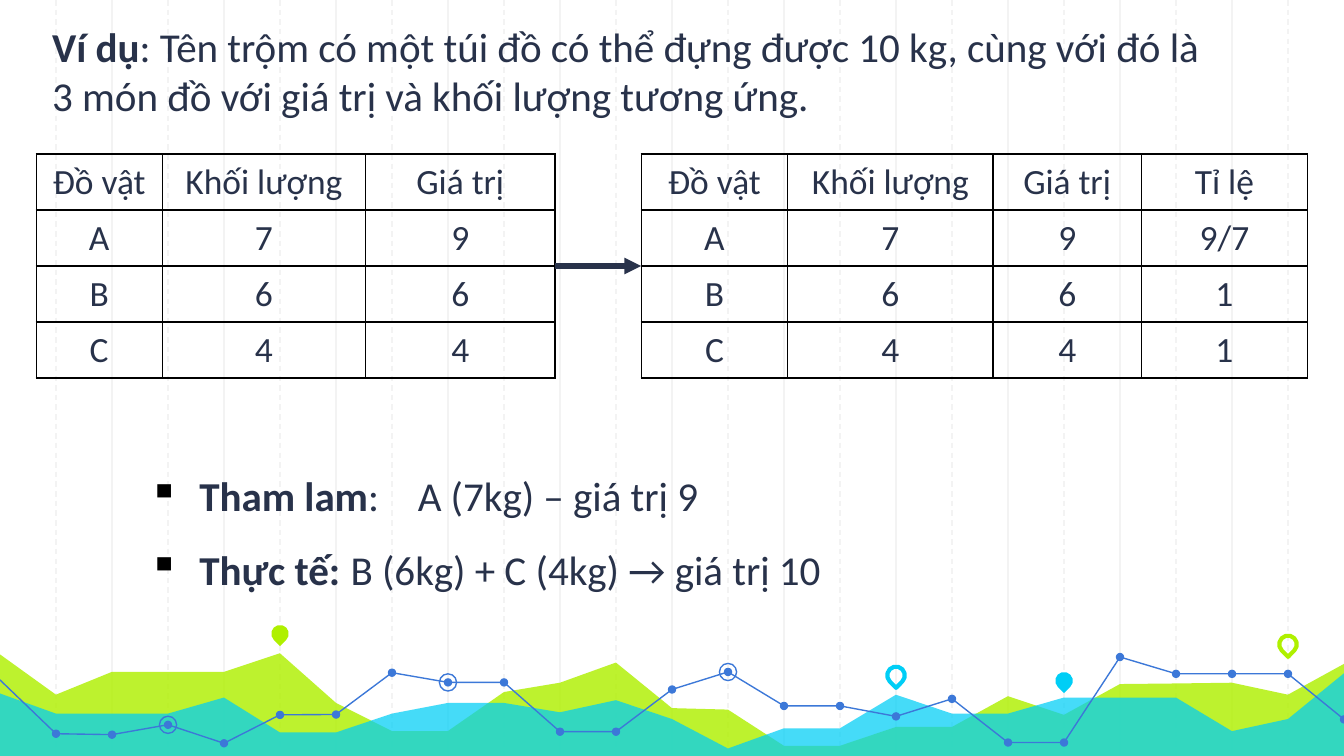
from dataclasses import dataclass

from lxml import etree
from pptx import Presentation
from pptx.dml.color import RGBColor
from pptx.enum.dml import MSO_LINE
from pptx.enum.shapes import MSO_CONNECTOR, MSO_SHAPE
from pptx.enum.text import MSO_ANCHOR, PP_ALIGN
from pptx.oxml.ns import qn
from pptx.shapes.autoshape import Shape
from pptx.shapes.connector import Connector
from pptx.slide import Slide
from pptx.table import _Cell
from pptx.text.text import TextFrame, _Paragraph
from pptx.util import Pt

DASH = MSO_LINE.DASH
STRAIGHT = MSO_CONNECTOR.STRAIGHT
ELLIPSE, TEARDROP = MSO_SHAPE.OVAL, MSO_SHAPE.TEAR
CENTER, MIDDLE = PP_ALIGN.CENTER, MSO_ANCHOR.MIDDLE

COLORS = {"text": "28324A", "grid": "F3F3F3", "green": "AFF000",
          "cyan": "00CEF6", "blue": "3C78D8", "black": "000000"}
FONT = "Calibri"
WIDTH, HEIGHT = 720, 405
STEP = 30  # distance between grid lines
TABLE_TOP, ROW_HEIGHT = 82.5, 30

# Heights at each grid line, from the left edge to the right edge
GREEN_AREA = [350.6, 372.2, 360, 360, 360, 350, 376.6, 391.7, 391.7, 370.8, 365.8, 355, 379.4,
              380.2, 399.6, 399.6, 389.5, 389.5, 373, 383, 366.5, 366.2, 365.8, 372.2, 355.7]
CYAN_AREA = [371.5, 382.3, 382.3, 382.3, 373.7, 392.4, 392.4, 382.3, 376.6, 376.6, 381.6, 375.1, 385.2,
             401, 390.2, 390.2, 372.2, 382.3, 382.3, 373.7, 373.7, 373.7, 391.7, 385.2, 360.7]
BLUE_LINE = [364.3, 393.1, 393.6, 388.3, 398.2, 383, 382.8, 360.4, 365.6, 365.6, 392, 392, 369.4,
             360, 378.2, 378.2, 383.8, 374.4, 397.8, 397.8, 352, 361, 361, 361, 385.4]
LINE_PARTS = [(0, 11), (11, 20), (20, 24)]
RINGED_COLUMNS = [3, 8, 13]


@dataclass
class Pin:
    column: int
    y: float
    color: str
    filled: bool


@dataclass
class ItemTable:
    left: float
    widths: list[float]
    rows: list[list[str]]


@dataclass
class Answer:
    label: str
    value: str


PINS = [Pin(5, 339.5, "green", True), Pin(16, 361.8, "cyan", False),
        Pin(19, 364.7, "cyan", True), Pin(23, 345.2, "green", False)]
ITEMS = [["Đồ vật", "Khối lượng", "Giá trị"], ["A", "7", "9"], ["B", "6", "6"], ["C", "4", "4"]]
RATIOS = ["Tỉ lệ", "9/7", "1", "1"]
ITEM_TABLE = ItemTable(19.4, [67.5, 109, 101.5], ITEMS)
RATIO_TABLE = ItemTable(343.5, [78.5, 110, 79.5, 89],
                        [row + [ratio] for row, ratio in zip(ITEMS, RATIOS)])


def rgb(name: str) -> RGBColor:
    return RGBColor.from_string(COLORS[name])


def paint(shape: Shape, fill: str | None = None, line: str | None = None, width: float = 0.75) -> None:
    shape.shadow.inherit = False
    if fill:
        shape.fill.solid()
        shape.fill.fore_color.rgb = rgb(fill)
    else:
        shape.fill.background()
    if line:
        shape.line.color.rgb = rgb(line)
        shape.line.width = Pt(width)
    else:
        shape.line.fill.background()


def add_line(slide: Slide, x1: float, y1: float, x2: float, y2: float,
             color: str, width: float) -> Connector:
    line = slide.shapes.add_connector(STRAIGHT, Pt(x1), Pt(y1), Pt(x2), Pt(y2))
    line.line.color.rgb = rgb(color)
    line.line.width = Pt(width)
    etree.SubElement(line._element.spPr, qn("a:effectLst"))
    return line


def add_outline(slide: Slide, points: list[tuple[float, float]], closed: bool) -> Shape:
    corners = [(Pt(x), Pt(y)) for x, y in points]
    builder = slide.shapes.build_freeform(*corners[0])
    builder.add_line_segments(corners[1:], close=closed)
    return builder.convert_to_shape()


def add_area(slide: Slide, heights: list[float], color: str, opacity: int) -> None:
    points = [(column * STEP, y) for column, y in enumerate(heights)]
    area = add_outline(slide, points + [(WIDTH, HEIGHT), (0, HEIGHT)], True)
    paint(area, fill=color)
    color_element = area._element.spPr.find(qn("a:solidFill"))[0]
    etree.SubElement(color_element, qn("a:alpha"), val=str(opacity * 1000))


def add_marker(slide: Slide, kind: MSO_SHAPE, column: int, y: float, size: float) -> Shape:
    """Add a shape centred on a grid line."""
    return slide.shapes.add_shape(kind, Pt(column * STEP - size / 2), Pt(y - size / 2), Pt(size), Pt(size))


def add_pin(slide: Slide, pin: Pin) -> None:
    shape = add_marker(slide, TEARDROP, pin.column, pin.y, 9.4)
    shape.rotation = 135
    if pin.filled:
        paint(shape, fill=pin.color)
    else:
        paint(shape, line=pin.color, width=2.25)


def add_background(slide: Slide) -> None:
    for first, dashed in ((2, False), (1, True)):
        for column in range(first, WIDTH // STEP, 2):
            line = add_line(slide, column * STEP, 0, column * STEP, HEIGHT, "grid", 0.75)
            if dashed:
                line.line.dash_style = DASH
    add_area(slide, GREEN_AREA, "green", 82)
    add_area(slide, CYAN_AREA, "cyan", 73)
    for first, last in LINE_PARTS:
        points = [(column * STEP, BLUE_LINE[column]) for column in range(first, last + 1)]
        paint(add_outline(slide, points, False), line="blue")
    for column, y in list(enumerate(BLUE_LINE))[1:]:
        paint(add_marker(slide, ELLIPSE, column, y, 4.5), fill="blue")
    for column in RINGED_COLUMNS:
        paint(add_marker(slide, ELLIPSE, column, BLUE_LINE[column], 9.2), line="blue")
    for pin in PINS:
        add_pin(slide, pin)


def style_font(paragraph: _Paragraph, size: float) -> None:
    paragraph.font.name = FONT
    paragraph.font.size = Pt(size)
    paragraph.font.color.rgb = rgb("text")


def add_labelled_text(paragraph: _Paragraph, label: str, text: str) -> None:
    """Write a bold label followed by plain text."""
    for part, bold in ((label, True), (text, False)):
        run = paragraph.add_run()
        run.text = part
        run.font.bold = bold
    style_font(paragraph, 22)


def add_text_box(slide: Slide, left: float, top: float, width: float, height: float) -> TextFrame:
    frame = slide.shapes.add_textbox(Pt(left), Pt(top), Pt(width), Pt(height)).text_frame
    frame.word_wrap = True
    return frame


def add_bullet(paragraph: _Paragraph) -> None:
    properties = paragraph._p.get_or_add_pPr()
    properties.set("marL", str(Pt(27)))
    properties.set("indent", str(-Pt(27)))
    bullet_color = etree.SubElement(properties, qn("a:buClr"))
    etree.SubElement(bullet_color, qn("a:srgbClr"), val=COLORS["black"])
    etree.SubElement(properties, qn("a:buChar"), char="▪")


def fill_cell(cell: _Cell, text: str) -> None:
    properties = cell._tc.get_or_add_tcPr()
    for side in ("lnL", "lnR", "lnT", "lnB"):
        border = etree.SubElement(properties, qn(f"a:{side}"), w=str(Pt(0.75)))
        solid = etree.SubElement(border, qn("a:solidFill"))
        etree.SubElement(solid, qn("a:srgbClr"), val=COLORS["black"])
    cell.fill.background()
    cell.margin_top = cell.margin_bottom = Pt(3)
    cell.vertical_anchor = MIDDLE
    cell.text = text
    paragraph = cell.text_frame.paragraphs[0]
    paragraph.alignment = CENTER
    style_font(paragraph, 19)


def add_item_table(slide: Slide, item_table: ItemTable) -> None:
    rows, widths = item_table.rows, item_table.widths
    table = slide.shapes.add_table(len(rows), len(widths), Pt(item_table.left), Pt(TABLE_TOP),
                                   Pt(sum(widths)), Pt(ROW_HEIGHT * len(rows))).table
    table.first_row = table.horz_banding = False
    for column, width in zip(table.columns, widths):
        column.width = Pt(width)
    for row_index, row in enumerate(rows):
        for column_index, text in enumerate(row):
            fill_cell(table.cell(row_index, column_index), text)


def main() -> None:
    presentation = Presentation()
    presentation.slide_width, presentation.slide_height = Pt(WIDTH), Pt(HEIGHT)
    slide = presentation.slides.add_slide(presentation.slide_layouts[6])
    add_background(slide)

    example = add_text_box(slide, 20.9, 8, 645, 60.5)
    add_labelled_text(example.paragraphs[0], "Ví dụ",
                      ": Tên trộm có một túi đồ có thể đựng được 10 kg, cùng với đó là 3 "
                      "món đồ với giá trị và khối lượng tương ứng.")
    add_item_table(slide, ITEM_TABLE)
    add_item_table(slide, RATIO_TABLE)

    answers = [Answer("Tham lam", ":\tA (7kg) – giá trị 9"),
               Answer("Thực tế:", "\tB (6kg) + C (4kg) → giá trị 10")]
    frame = add_text_box(slide, 72.7, 235.5, 469.5, 83)
    for index, answer in enumerate(answers):
        paragraph = frame.add_paragraph() if index else frame.paragraphs[0]
        add_bullet(paragraph)
        paragraph.line_spacing = 1.5
        add_labelled_text(paragraph, answer.label, answer.value)

    arrow_y = TABLE_TOP + 2 * ROW_HEIGHT
    arrow_start = ITEM_TABLE.left + sum(ITEM_TABLE.widths)
    arrow = add_line(slide, arrow_start, arrow_y, RATIO_TABLE.left, arrow_y, "text", 3)
    etree.SubElement(arrow.line._get_or_add_ln(), qn("a:tailEnd"), type="triangle")
    presentation.save("out.pptx")


if __name__ == "__main__":
    main()
